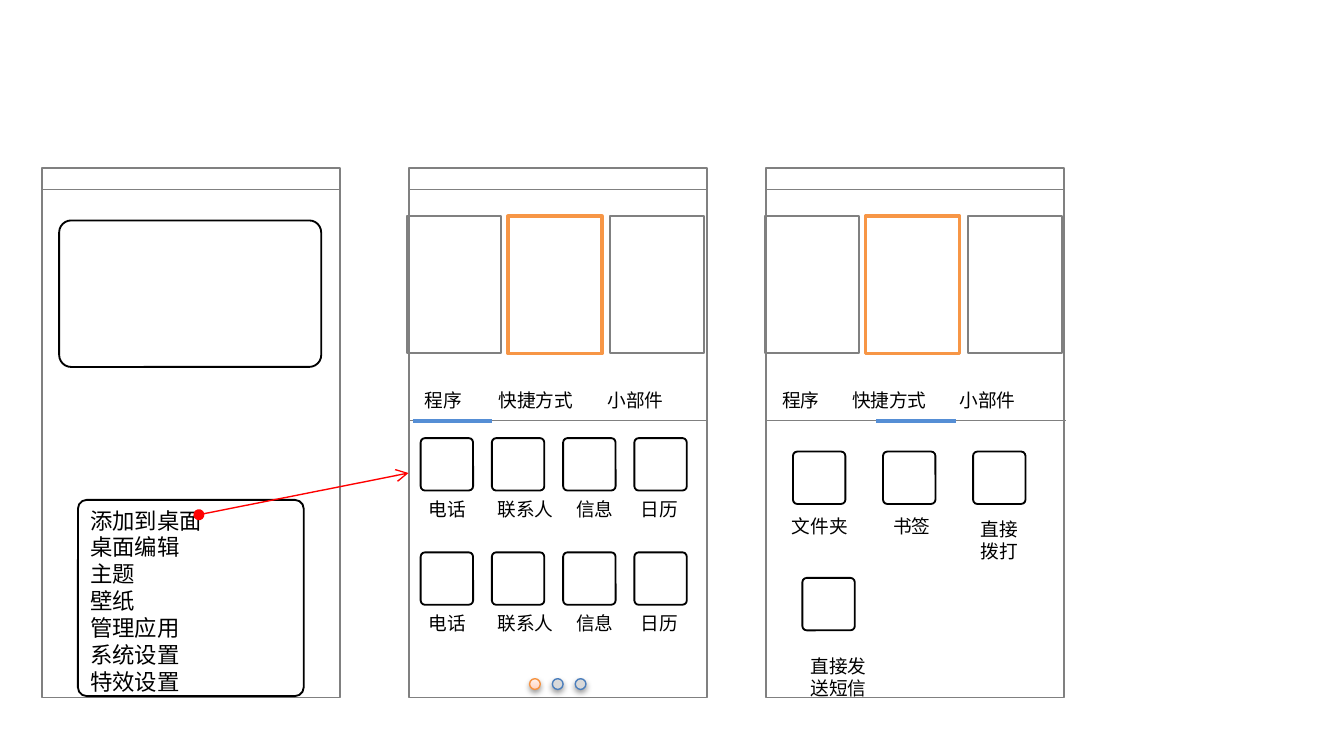
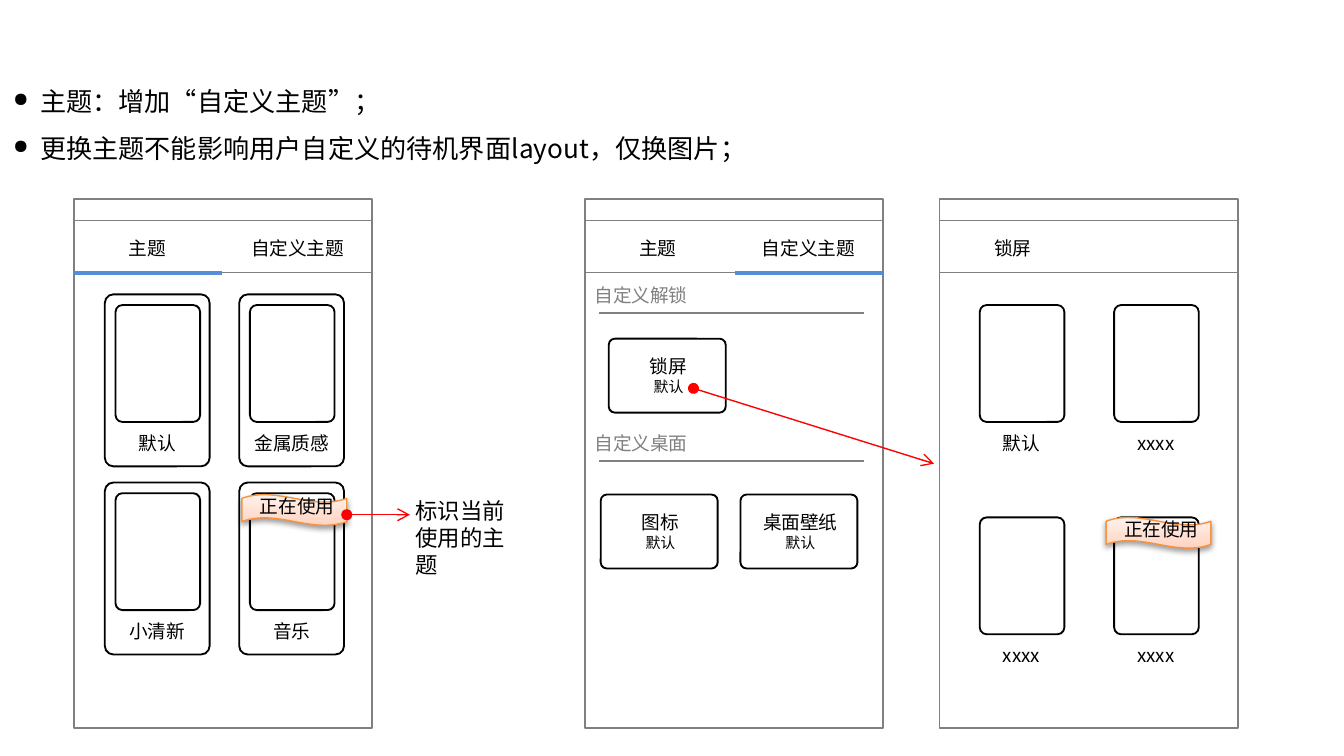
from lxml import etree
from pptx import Presentation
from pptx import util as u
from pptx.dml.color import RGBColor
from pptx.enum import shapes, text
from pptx.oxml import ns

FONT = "Noto Sans CJK SC"
BLACK, GRAY, WHITE = "000000", "808080", "FFFFFF"
BLUE, ORANGE, RED = "558ED5", "F79646", "FF0000"
PEACH_LINE, DOT_LINE, DOT_FILL = "F69240", "4B7EBC", "D9D9D9"
PEACH = [(0, "FFD2BD"), (35, "FFDED0"), (100, "FFF2ED")]
KINDS = shapes.MSO_SHAPE
SLIDE_W = 10
SLIDE_H = SLIDE_W * 9 / 16
PHONE_W, PHONE_H = 2.22, 3.94
ICON = 0.39


def color(value):
    return RGBColor.from_string(value)


def sub(parent, tag, **attrs):
    return etree.SubElement(parent, ns.qn(tag), **attrs)


def fill_peach(sp):
    sp.fill.gradient()
    sp.fill.gradient_angle = 90
    stops = sp._element.spPr.find(".//" + ns.qn("a:gsLst"))
    for stop in list(stops):
        stops.remove(stop)
    for pos, value in PEACH:
        gs = sub(stops, "a:gs", pos=str(pos * 1000))
        sub(gs, "a:srgbClr", val=value)


def add_shadow(sp):
    effects = sp._element.spPr.find(ns.qn("a:effectLst"))
    shadow = sub(effects, "a:outerShdw", blurRad=str(u.Pt(3.1)), dist=str(u.Pt(1.6)),
                 dir="5400000", rotWithShape="0")
    clr = sub(shadow, "a:srgbClr", val=BLACK)
    sub(clr, "a:alpha", val="38000")


def add_box(s, x, y, w, h, kind=KINDS.RECTANGLE, line=GRAY, width=1, fill=None, adj=None):
    sp = s.shapes.add_shape(kind, *map(u.Inches, (x, y, w, h)))
    sp.shadow.inherit = False
    if fill is PEACH:
        fill_peach(sp)
    elif fill:
        sp.fill.solid()
        sp.fill.fore_color.rgb = color(fill)
    else:
        sp.fill.background()
    sp.line.color.rgb = color(line)
    sp.line.width = u.Pt(width)
    if adj:
        sp.adjustments[0] = adj
    return sp


def add_rounded(s, x, y, w, h, adj=0.082):
    return add_box(s, x, y, w, h, KINDS.ROUNDED_RECTANGLE, BLACK, adj=adj)


def add_line(s, x1, y1, x2, y2, line=GRAY, width=0.75):
    c = s.shapes.add_connector(shapes.MSO_CONNECTOR.STRAIGHT, *map(u.Inches, (x1, y1, x2, y2)))
    c.line.color.rgb = color(line)
    c.line.width = u.Pt(width)
    sub(c._element.spPr, "a:effectLst")
    return c


def add_arrow(s, x1, y1, x2, y2):
    c = add_line(s, x1, y1, x2, y2, RED)
    ln = c.line._get_or_add_ln()
    sub(ln, "a:headEnd", type="oval")
    sub(ln, "a:tailEnd", type="arrow")


def add_run(p, content, size, value):
    r = p.add_run()
    r.text = content
    r.font.size = u.Pt(size)
    r.font.color.rgb = color(value)
    r.font.name = FONT
    sub(r._r.get_or_add_rPr(), "a:ea", typeface=FONT)


def add_text(s, x, y, w, h, lines, size=10, value=BLACK, align=None, inset=(0.2, 0.1)):
    tf = s.shapes.add_textbox(*map(u.Inches, (x, y, w, h))).text_frame
    tf.word_wrap = True
    tf.auto_size = text.MSO_AUTO_SIZE.SHAPE_TO_FIT_TEXT
    tf.margin_left = tf.margin_right = u.Inches(inset[0])
    tf.margin_top = tf.margin_bottom = u.Inches(inset[1])
    for i, item in enumerate(lines):
        content, pts = item if isinstance(item, tuple) else (item, size)
        p = tf.paragraphs[0] if i == 0 else tf.add_paragraph()
        p.alignment = align
        add_run(p, content, pts, value)
    return tf


def add_label(s, x, y, w, *lines, h=0.37, value=BLACK):
    add_text(s, x, y, w, h, lines, value=value, align=text.PP_ALIGN.CENTER)


def add_bullets(s, x, y, w, h, lines):
    tf = add_text(s, x, y, w, h, lines, size=14, inset=(0.1, 0.05))
    for p in tf.paragraphs:
        p.line_spacing = 1.5
        pPr = p._p.get_or_add_pPr()
        pPr.set("marL", str(u.Inches(0.2)))
        pPr.set("indent", str(-u.Inches(0.2)))
        sub(pPr, "a:buSzPct", val="75000")
        sub(pPr, "a:buChar", char="●")


def add_phone(s, x, y):
    add_box(s, x, y, PHONE_W, PHONE_H)
    add_line(s, x, y + 0.16, x + PHONE_W, y + 0.16)


def add_tab_text(s, x, y, w, names, stops):
    tf = add_text(s, x, y, w, 0.37, ["\t".join(names)])
    tabs = sub(tf.paragraphs[0]._p.get_or_add_pPr(), "a:tabLst")
    for stop in stops:
        sub(tabs, "a:tab", pos=str(u.Inches(stop)), algn="l")


def add_picker(s, x, tab_stops, mark):
    add_phone(s, x, 1.25)
    add_line(s, x + 0.01, 3.13, x + 0.01 + PHONE_W, 3.13)
    add_tab_text(s, x - 0.08, 2.81, 2.45, ["程序", "快捷方式", "小部件"], tab_stops)
    add_line(s, mark, 3.13, mark + 0.59, 3.13, BLUE, 2.25)
    add_box(s, x + 0.74, 1.61, 0.7, 1.02, line=ORANGE, width=2, fill=WHITE)
    for dx in (-0.01, 1.5):
        add_box(s, x + dx, 1.61, 0.7, 1.02)


def add_icon(s, x, y, name, label_x, label_y, label_w, label_h=0.37):
    add_rounded(s, x, y, ICON, ICON)
    add_label(s, label_x, label_y, label_w, name, h=label_h)


def add_dots(s, x, y):
    for i, (line, fill) in enumerate([(PEACH_LINE, PEACH)] + [(DOT_LINE, DOT_FILL)] * 2):
        add_shadow(add_box(s, x + 0.17 * i, y, 0.08, 0.08, KINDS.OVAL, line, 0.75, fill))


def add_ribbon(s, x, y):
    add_shadow(add_box(s, x, y, 0.78, 0.23, KINDS.WAVE, PEACH_LINE, 0.75, PEACH))
    add_label(s, x - 0.1, y - 0.08, 1.02, "正在使用")


def add_theme_tabs(s, x, names, active=None):
    add_phone(s, x, 1.48)
    add_line(s, x, 2.03, x + PHONE_W, 2.03)
    if active is not None:
        left = x + 1.12 * active
        add_line(s, left, 2.03, left + 1.1, 2.03, BLUE, 2.25)
    for i, name in enumerate(names):
        add_label(s, x - 0.04 + 1.12 * i, 1.68, 1.17, name)


def add_thumbs(s, x, y, row_gap, names, framed=False):
    for i, name in enumerate(names):
        left, top = x + i % 2, y + row_gap * (i // 2)
        if framed:
            add_rounded(s, left - 0.08, top - 0.08, 0.78, 1.28)
        add_rounded(s, left, top, 0.63, 0.87)
        add_label(s, left - 0.18, top + 0.86, 0.98, name)


def add_section(s, y, name):
    add_line(s, 4.46, y + 0.3, 6.43, y + 0.3)
    add_label(s, 4.22, y, 1.1, name, value=GRAY)


def add_option(s, x, y, name):
    add_rounded(s, x, y, 0.87, 0.55)
    add_label(s, x - 0.17, y + 0.02, 1.23, name, ("默认", 8), h=0.5)


def build_desktop(s):
    add_phone(s, 0.31, 1.25)
    add_rounded(s, 0.44, 1.64, 1.95, 1.09)
    add_rounded(s, 0.58, 3.72, 1.68, 1.46, 0.045)
    menu = ["添加到桌面", "桌面编辑", "主题", "壁纸", "管理应用", "系统设置", "特效设置"]
    add_text(s, 0.47, 3.67, 1.8, 1.62, menu, size=12)

    add_picker(s, 3.04, (0.55, 1.36), 3.07)
    apps = [("电话", 2.86, 0.94), ("联系人", 3.44, 0.94), ("信息", 4.06, 0.73), ("日历", 4.54, 0.73)]
    for y in (3.26, 4.11):
        for i, (name, label_x, label_w) in enumerate(apps):
            add_icon(s, 3.13 + 0.53 * i, y, name, label_x, y + 0.36, label_w)
    add_dots(s, 3.94, 5.05)

    add_picker(s, 5.7, (0.52, 1.32), 6.52)
    add_icon(s, 5.9, 3.36, "文件夹", 5.63, 3.75, 0.94)
    add_icon(s, 6.57, 3.36, "书签", 6.38, 3.75, 0.81)
    add_icon(s, 7.24, 3.36, "直接拨打", 7.03, 3.75, 0.81, 0.54)
    add_icon(s, 5.97, 4.3, "直接发送短信", 5.77, 4.77, 0.94, 0.54)
    add_arrow(s, 1.48, 3.83, 3.04, 3.52)


def build_themes(s):
    add_bullets(s, 0, 0.47, 9.38, 0.81,
                ["主题：增加“自定义主题”；", "更换主题不能影响用户自定义的待机界面layout，仅换图片；"])
    tabs = ["主题", "自定义主题"]
    add_theme_tabs(s, 0.55, tabs, 0)
    add_thumbs(s, 0.86, 2.27, 1.4, ["默认", "金属质感", "小清新", "音乐"], framed=True)
    add_ribbon(s, 1.8, 3.68)
    add_text(s, 2.89, 3.6, 1.09, 0.81, ["标识当前使用的主题"], size=12)
    add_arrow(s, 2.58, 3.83, 3.05, 3.83)

    add_theme_tabs(s, 4.35, tabs, 1)
    add_section(s, 2.03, "自定义解锁")
    add_option(s, 4.53, 2.52, "锁屏")
    add_section(s, 3.13, "自定义桌面")
    add_option(s, 4.47, 3.68, "图标")
    add_option(s, 5.51, 3.68, "桌面壁纸")

    add_theme_tabs(s, 6.99, ["锁屏"])
    add_thumbs(s, 7.29, 2.27, 1.58, ["默认", "xxxx", "xxxx", "xxxx"])
    add_ribbon(s, 8.23, 3.85)
    add_arrow(s, 5.16, 2.89, 6.95, 3.45)


def main():
    prs = Presentation()
    prs.slide_width, prs.slide_height = u.Inches(SLIDE_W), u.Inches(SLIDE_H)
    for build in (build_desktop, build_themes):
        build(prs.slides.add_slide(prs.slide_layouts[6]))
    prs.save("out.pptx")


if __name__ == "__main__":
    main()
